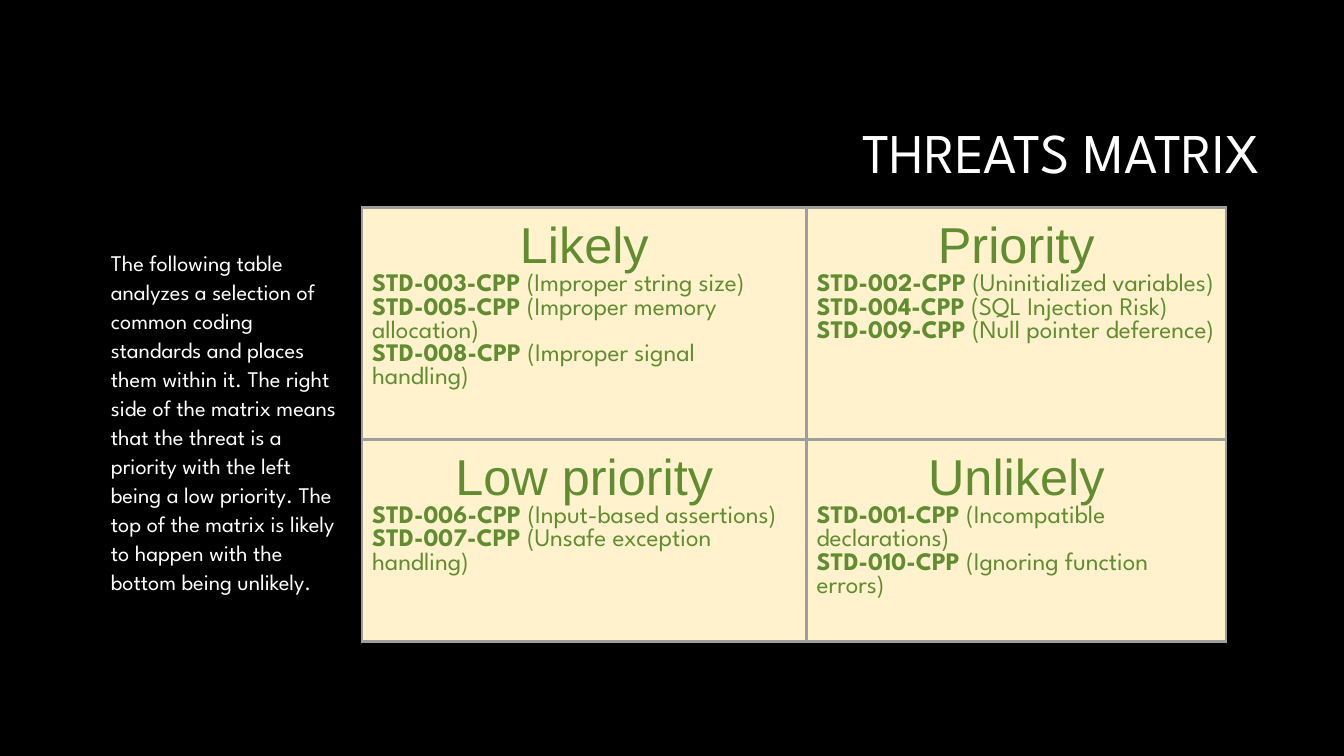
from lxml.etree import SubElement
from pptx import Presentation
from pptx.dml.color import RGBColor
from pptx.enum.text import MSO_ANCHOR, PP_ALIGN
from pptx.oxml.ns import qn
from pptx.util import Inches, Pt

TITLE = "THREATS MATRIX"
EXPLANATION = (
    "The following table analyzes a selection of common coding standards and "
    "places them within it. The right side of the matrix means that the threat "
    "is a priority with the left being a low priority. The top of the matrix is "
    "likely to happen with the bottom being unlikely."
)
MATRIX = [
    [
        ("Likely", [
            ("STD-003-CPP", "Improper string size"),
            ("STD-005-CPP", "Improper memory allocation"),
            ("STD-008-CPP", "Improper signal handling"),
        ]),
        ("Priority", [
            ("STD-002-CPP", "Uninitialized variables"),
            ("STD-004-CPP", "SQL Injection Risk"),
            ("STD-009-CPP", "Null pointer deference"),
        ]),
    ],
    [
        ("Low priority", [
            ("STD-006-CPP", "Input-based assertions"),
            ("STD-007-CPP", "Unsafe exception handling"),
        ]),
        ("Unlikely", [
            ("STD-001-CPP", "Incompatible declarations"),
            ("STD-010-CPP", "Ignoring function errors"),
        ]),
    ],
]
COLUMN_WIDTHS = [4.41, 4.16]
ROW_HEIGHT = 1.93
CELL_MARGIN = Inches(0.1)

BLACK = RGBColor(0x00, 0x00, 0x00)
WHITE = RGBColor(0xFF, 0xFF, 0xFF)
GREEN = RGBColor(0x61, 0x8C, 0x32)
CREAM = RGBColor(0xFF, 0xF2, 0xCC)
GRAY = RGBColor(0x9E, 0x9E, 0x9E)
BODY_FONT = "League Spartan"
HEADING_FONT = "Arial"


def style(paragraph, font_name, size, color):
    font = paragraph.font
    font.name, font.size = font_name, Pt(size)
    font.color.rgb = color


def add_text(slide, text, box, size, line_spacing):
    frame = slide.shapes.add_textbox(*map(Inches, box)).text_frame
    frame.word_wrap = True
    paragraph = frame.paragraphs[0]
    paragraph.text = text
    paragraph.line_spacing = line_spacing
    style(paragraph, BODY_FONT, size, WHITE)
    return frame


def add_borders(cell):
    properties = cell._tc.get_or_add_tcPr()
    for position, side in enumerate(("lnL", "lnR", "lnT", "lnB")):
        line = SubElement(properties, qn(f"a:{side}"), w=str(Pt(2.25)))
        fill = SubElement(line, qn("a:solidFill"))
        SubElement(fill, qn("a:srgbClr"), val=str(GRAY))
        properties.insert(position, line)


def fill_cell(cell, heading, threats):
    cell.fill.solid()
    cell.fill.fore_color.rgb = CREAM
    cell.margin_left = cell.margin_right = CELL_MARGIN
    cell.margin_top = cell.margin_bottom = CELL_MARGIN
    add_borders(cell)

    title = cell.text_frame.paragraphs[0]
    title.text = heading
    title.alignment = PP_ALIGN.CENTER
    style(title, HEADING_FONT, 36, GREEN)
    for code, description in threats:
        threat = cell.text_frame.add_paragraph()
        style(threat, BODY_FONT, 18, GREEN)
        code_run = threat.add_run()
        code_run.text = code
        code_run.font.bold = True
        threat.add_run().text = f" ({description})"


def main():
    deck = Presentation()
    deck.slide_width, deck.slide_height = Inches(13.33), Inches(7.5)
    slide = deck.slides.add_slide(deck.slide_layouts[6])
    slide.background.fill.solid()
    slide.background.fill.fore_color.rgb = BLACK

    title = add_text(slide, TITLE, (3.17, 0.84, 9.42, 1.41), 40, 0.9)
    title.vertical_anchor = MSO_ANCHOR.MIDDLE
    title.paragraphs[0].alignment = PP_ALIGN.RIGHT

    explanation = add_text(slide, EXPLANATION, (0.75, 2.4, 2.72, 4.4), 16, 1.08)
    explanation.margin_left = Inches(0.35)

    matrix = slide.shapes.add_table(
        len(MATRIX), len(COLUMN_WIDTHS), Inches(3.59), Inches(2.06),
        Inches(sum(COLUMN_WIDTHS)), Inches(ROW_HEIGHT * len(MATRIX)),
    ).table
    matrix.first_row = matrix.horz_banding = False
    for column, width in zip(matrix.columns, COLUMN_WIDTHS):
        column.width = Inches(width)
    for r, quadrants in enumerate(MATRIX):
        matrix.rows[r].height = Inches(ROW_HEIGHT)
        for c, (heading, threats) in enumerate(quadrants):
            fill_cell(matrix.cell(r, c), heading, threats)

    deck.save("out.pptx")


if __name__ == "__main__":
    main()
